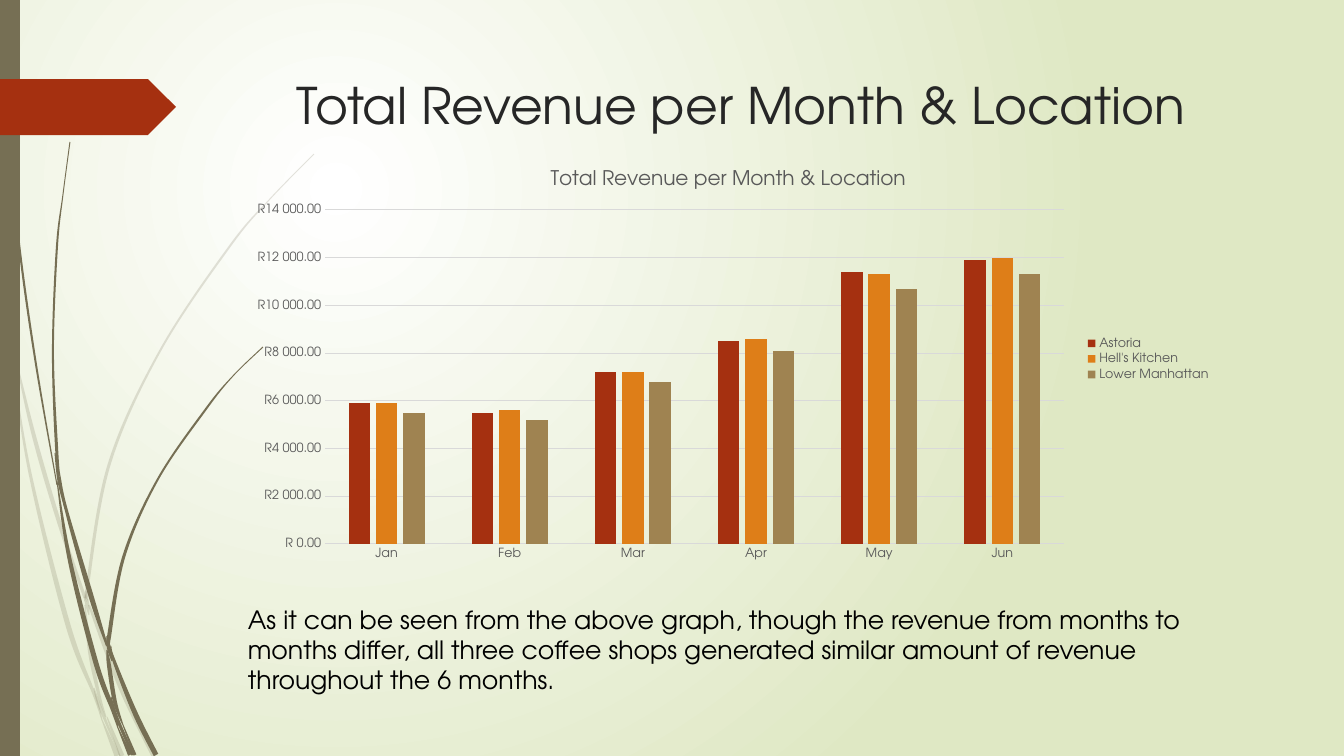
"""Build the slide on total revenue per month and location."""
from math import hypot

from lxml import etree
from pptx import Presentation
from pptx.chart.data import CategoryChartData
from pptx.dml.color import RGBColor
from pptx.enum.chart import XL_CHART_TYPE, XL_LEGEND_POSITION, XL_TICK_MARK
from pptx.enum.shapes import MSO_SHAPE
from pptx.enum.text import MSO_ANCHOR, PP_ALIGN
from pptx.oxml.ns import qn
from pptx.util import Pt

COLUMNS = XL_CHART_TYPE.COLUMN_CLUSTERED
LEGEND_RIGHT = XL_LEGEND_POSITION.RIGHT
NO_TICK = XL_TICK_MARK.NONE
RECTANGLE, TAG = MSO_SHAPE.RECTANGLE, MSO_SHAPE.PENTAGON
TOP, LEFT = MSO_ANCHOR.TOP, PP_ALIGN.LEFT

TITLE = "Total Revenue per Month & Location"
SUMMARY = ("As it can be seen from the above graph, though the revenue from months to "
           "months differ, all three coffee shops generated similar amount of revenue "
           "throughout the 6 months.")
MONTHS = ["Jan", "Feb", "Mar", "Apr", "May", "Jun"]
REVENUE = [
    ("Astoria", "A53010", [5900, 5500, 7200, 8500, 11400, 11900]),
    ("Hell's Kitchen", "DE7E18", [5900, 5600, 7200, 8600, 11300, 12000]),
    ("Lower Manhattan", "9F8351", [5500, 5200, 6800, 8100, 10700, 11300]),
]
NUMBER_FORMAT = '"R"#\\ ##0.00'
FONT = "TeX Gyre Adventor"
OLIVE, RUST, GRAY, GRID = "766F54", "A53010", "595959", "D9D9D9"
BACKGROUND = ["FFFFFF", "DFE8C4"]

WIDTH, HEIGHT = 1344, 756
PX = 12192000 / WIDTH
TITLE_BOX = (286, 69, 983, 141)
CHART_BOX = (238, 151, 983, 416)
PLOT_BOX = (325, 210, 739, 334)
CHART_TITLE_AT = (547, 165)
SUMMARY_BOX = (238, 599, 983, 102)
BAR_BOX = (0, 0, 20, HEIGHT)
TAG_BOX = (0, 79, 176, 56)

# Each blade lists centre x, centre y and thickness from tip to root.
FADED_BLADES = [
    [(0, 293, 3), (11, 353, 1)],
    [(15, 355, 1), (34, 436, 4), (60, 525, 4), (85, 598, 3)],
    [(89, 605, 2), (108, 654, 5), (126, 699, 5), (154, 756, 5)],
    [(107, 717, 1), (122, 756, 5)],
    [(11, 353, 1), (30, 473, 3), (68, 625, 5), (94, 694, 3), (102, 720, 1)],
    [(85, 605, 1), (90, 651, 4), (99, 695, 3), (106, 717, 1)],
    [(314, 154, 1), (270, 199, 1), (230, 246, 2), (160, 351, 2), (109, 465, 3),
     (87, 589, 3), (87, 599, 2)],
    [(102, 720, 1), (117, 756, 5)],
    [(86, 591, 1), (87, 603, 4), (89, 615, 1)],
    [(94, 688, 1), (100, 707, 3), (120, 756, 1)],
]
DARK_BLADES = [
    [(3, 0, 1), (8, 110, 1), (18, 234, 2), (35, 358, 2), (57, 485, 1)],
    [(60, 476, 1), (66, 509, 3), (91, 596, 5), (107, 646, 2)],
    [(111, 646, 1), (113, 658, 3), (135, 713, 5), (156, 755, 5)],
    [(57, 481, 1), (70, 561, 4), (96, 663, 5), (113, 710, 4), (118, 728, 1)],
    [(70, 142, 1), (63, 195, 1), (57, 247, 2), (53, 352, 2), (57, 454, 3), (60, 476, 1)],
    [(123, 725, 1), (135, 755, 3)],
    [(55, 453, 1), (59, 481, 3), (65, 509, 1)],
    [(263, 347, 1), (233, 376, 1), (206, 409, 2), (158, 479, 2), (124, 556, 3),
     (109, 637, 4), (109, 645, 3)],
    [(118, 728, 1), (130, 755, 4)],
    [(107, 650, 1), (109, 665, 4), (115, 702, 4), (123, 725, 1)],
    [(107, 636, 1), (109, 648, 4), (112, 661, 1)],
    [(111, 697, 1), (117, 718, 3), (133, 755, 3)],
]


def color(value):
    return RGBColor.from_string(value)


def emu(box):
    return [round(length * PX) for length in box]


def style_font(font, size, value):
    font.name, font.size, font.bold = FONT, Pt(size), False
    font.color.rgb = color(value)


def paint(shape, value, opacity=100):
    shape.shadow.inherit = False
    shape.fill.solid()
    shape.fill.fore_color.rgb = color(value)
    shape.line.fill.background()
    if opacity < 100:
        rgb = shape.element.spPr.find(".//" + qn("a:srgbClr"))
        etree.SubElement(rgb, qn("a:alpha"), val=str(opacity * 1000))


def curve_points(edge):
    padded = [edge[0], *edge, edge[-1]]
    points = []
    for before, start, end, after in zip(padded, padded[1:], padded[2:], padded[3:]):
        points.append([b + (c - a) / 6 for a, b, c in zip(before, start, end)])
        points.append([c - (d - b) / 6 for b, c, d in zip(start, end, after)])
        points.append(end)
    return points


def add_blade(shapes, blade, opacity):
    left_edge, right_edge = [], []
    for index, (x, y, thickness) in enumerate(blade):
        x1, y1, _ = blade[max(index - 1, 0)]
        x2, y2, _ = blade[min(index + 1, len(blade) - 1)]
        half = thickness / 2 / hypot(x2 - x1, y2 - y1)
        across, down = (y2 - y1) * half, (x1 - x2) * half
        left_edge.append((x - across, y - down))
        right_edge.insert(0, (x + across, y + down))
    root = [left_edge[-1], right_edge[0], right_edge[0]]
    outline = curve_points(left_edge) + root + curve_points(right_edge)
    builder = shapes.build_freeform(*emu(left_edge[0]), scale=1.0)
    builder.add_line_segments([emu(point) for point in outline], close=True)
    shape = builder.convert_to_shape()
    lines = shape.element.findall(".//" + qn("a:lnTo"))
    for first, second, last in zip(lines[::3], lines[1::3], lines[2::3]):
        bezier = etree.Element(qn("a:cubicBezTo"))
        first.addprevious(bezier)
        for line in (first, second, last):
            bezier.append(line[0])
            line.getparent().remove(line)
    paint(shape, OLIVE, opacity)


def fill_background(slide):
    fill = slide.background.fill
    fill.gradient()
    for stop, value in zip(fill.gradient_stops, BACKGROUND):
        stop.color.rgb = color(value)
    gradient = slide.element.find(".//" + qn("a:gradFill"))
    gradient.remove(gradient.find(qn("a:lin")))
    circle = etree.SubElement(gradient, qn("a:path"), path="circle")
    etree.SubElement(circle, qn("a:fillToRect"), l="50000", t="50000", r="100000", b="100000")


def set_text(shape, text, size, value):
    frame = shape.text_frame
    frame.text, frame.word_wrap, frame.vertical_anchor = text, True, TOP
    frame.paragraphs[0].alignment = LEFT
    style_font(frame.paragraphs[0].runs[0].font, size, value)


def place(parent, position, settings):
    for old in parent.findall(qn("c:layout")):
        parent.remove(old)
    layout = etree.Element(qn("c:layout"))
    manual = etree.SubElement(layout, qn("c:manualLayout"))
    for name, value in settings.items():
        etree.SubElement(manual, qn("c:" + name), val=str(value))
    parent.insert(position, layout)


def add_revenue_chart(shapes):
    data = CategoryChartData(number_format=NUMBER_FORMAT)
    data.categories = MONTHS
    for name, _, values in REVENUE:
        data.add_series(name, values)
    chart = shapes.add_chart(COLUMNS, *emu(CHART_BOX), data).chart
    style_font(chart.font, 10, "000000")
    chart.has_title = True
    chart.chart_title.text_frame.text = TITLE
    style_font(chart.chart_title.text_frame.paragraphs[0].runs[0].font, 14.4, GRAY)
    chart.has_legend = True
    chart.legend.position, chart.legend.include_in_layout = LEGEND_RIGHT, False
    style_font(chart.legend.font, 9, GRAY)

    plot = chart.plots[0]
    plot.gap_width, plot.overlap, plot.vary_by_categories = 219, -27, False
    for series, (_, value, _) in zip(plot.series, REVENUE):
        series.format.fill.solid()
        series.format.fill.fore_color.rgb = color(value)

    months, amounts = chart.category_axis, chart.value_axis
    for axis in (months, amounts):
        axis.major_tick_mark = axis.minor_tick_mark = NO_TICK
        style_font(axis.tick_labels.font, 9, GRAY)
    amounts.minimum_scale, amounts.maximum_scale, amounts.major_unit = 0, 14000, 2000
    amounts.tick_labels.number_format = NUMBER_FORMAT
    amounts.tick_labels.number_format_is_linked = False
    amounts.format.line.fill.background()
    for line in (months.format.line, amounts.major_gridlines.format.line):
        line.color.rgb, line.width = color(GRID), Pt(0.75)

    left, top, width, height = CHART_BOX
    x, y, plot_width, plot_height = PLOT_BOX
    place(chart.element.find(".//" + qn("c:plotArea")), 0, {
        "layoutTarget": "inner", "xMode": "edge", "yMode": "edge",
        "x": (x - left) / width, "y": (y - top) / height,
        "w": plot_width / width, "h": plot_height / height})
    title_x, title_y = CHART_TITLE_AT
    place(chart.element.find(".//" + qn("c:title")), 1, {
        "xMode": "edge", "yMode": "edge",
        "x": (title_x - left) / width, "y": (title_y - top) / height})


def main():
    presentation = Presentation()
    presentation.slide_width, presentation.slide_height = emu((WIDTH, HEIGHT))
    slide = presentation.slides.add_slide(presentation.slide_layouts[5])
    shapes = slide.shapes
    fill_background(slide)
    for blades, opacity in ((FADED_BLADES, 20), (DARK_BLADES, 100)):
        for blade in blades:
            add_blade(shapes, blade, opacity)
    for preset, box, value in ((RECTANGLE, BAR_BOX, OLIVE), (TAG, TAG_BOX, RUST)):
        paint(shapes.add_shape(preset, *emu(box)), value)
    title = shapes.title
    title.left, title.top, title.width, title.height = emu(TITLE_BOX)
    set_text(title, TITLE, 36, "262626")
    add_revenue_chart(shapes)
    set_text(shapes.add_textbox(*emu(SUMMARY_BOX)), SUMMARY, 18, "000000")
    presentation.save("out.pptx")


if __name__ == "__main__":
    main()
